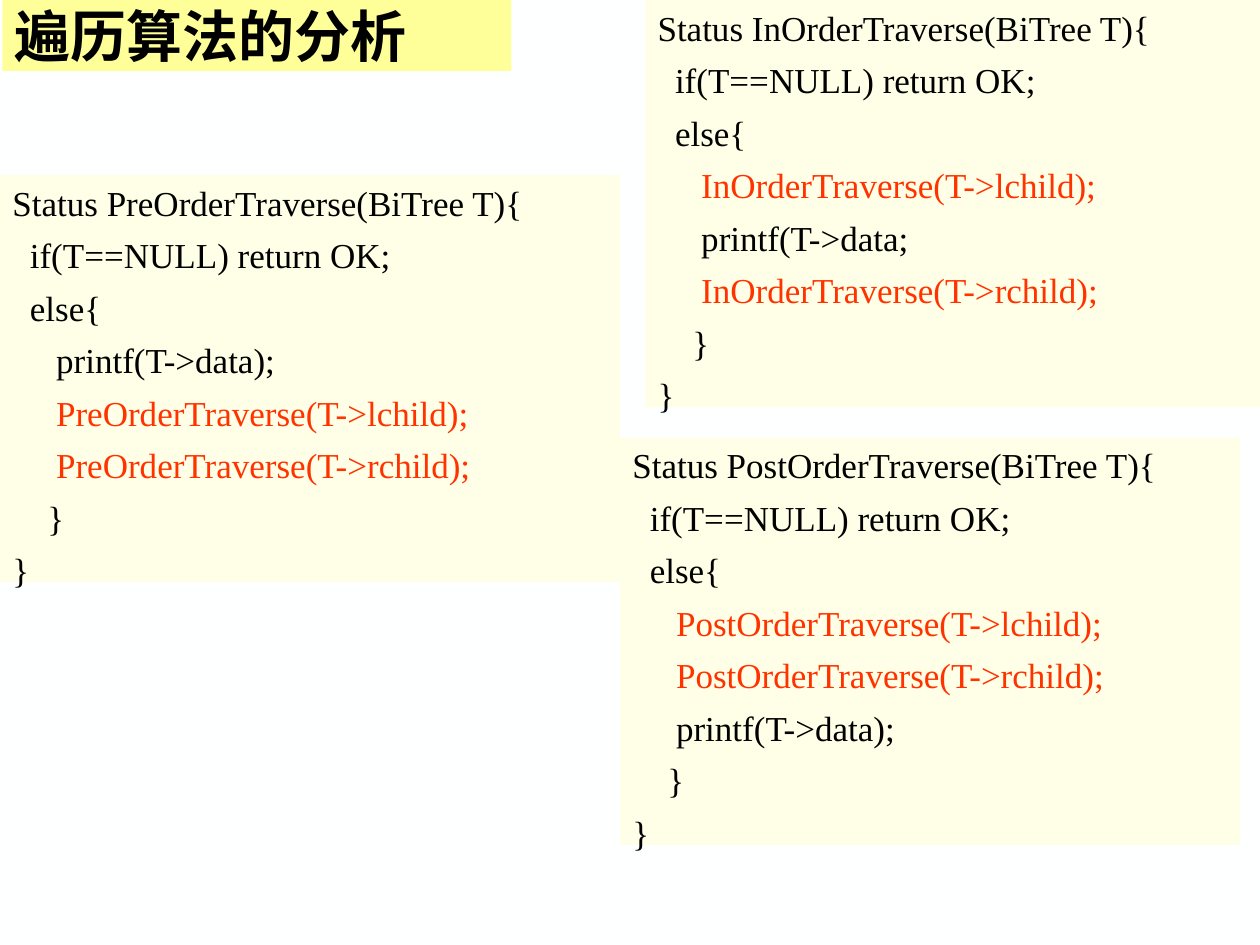
from dataclasses import dataclass

from lxml.etree import SubElement
from pptx import Presentation
from pptx.dml.color import RGBColor
from pptx.enum.shapes import MSO_SHAPE
from pptx.enum.text import MSO_ANCHOR, PP_ALIGN
from pptx.oxml.ns import qn
from pptx.util import Inches, Pt

COLORS = {
    "background": "FEFFFF",
    "code": "FFFFE7",
    "title": "FFFF99",
    "text": "000000",
    "recursion": "FF3300",
}
CODE_FONT, TITLE_FONT = "Times New Roman", "Noto Sans CJK SC"
WIDTH, HEIGHT = Inches(10), Inches(7.5)
CODE_W, CODE_H = 0.492, 0.431


@dataclass
class Box:
    """Place and size as shares of the slide."""
    x: float
    y: float
    w: float
    h: float
    fill: str


@dataclass
class Traversal:
    order: str
    x: float
    y: float
    body: tuple[str, ...]


LEFT, RIGHT = "(T->lchild);", "(T->rchild);"
VISIT = "printf(T->data);"
TRAVERSALS = [
    Traversal("Pre", 0, 0.185, (VISIT, LEFT, RIGHT)),
    Traversal("Post", CODE_W, 0.463, (LEFT, RIGHT, VISIT)),
    Traversal("In", 0.512, 0, (LEFT, "printf(T->data;", RIGHT)),
]


def rgb(name: str) -> RGBColor:
    return RGBColor.from_string(COLORS[name])


def add_box(slide, box: Box):
    sp = slide.shapes.add_shape(
        MSO_SHAPE.RECTANGLE, round(box.x * WIDTH), round(box.y * HEIGHT),
        round(box.w * WIDTH), round(box.h * HEIGHT))
    sp.shadow.inherit = False
    sp.fill.solid()
    sp.fill.fore_color.rgb = rgb(box.fill)
    sp.line.fill.background()
    sp.text_frame.word_wrap = True
    return sp.text_frame


def style_paragraph(p, font: str, size: int, color: str, bold: bool = False) -> None:
    p.alignment = PP_ALIGN.LEFT
    for r in p.runs:
        r.font.name, r.font.size, r.font.bold = font, Pt(size), bold
        r.font.color.rgb = rgb(color)
        SubElement(r.font._element, qn("a:ea"), typeface=font)


def add_traversal(slide, item: Traversal) -> None:
    name = f"{item.order}OrderTraverse"
    body = [name + line if line in (LEFT, RIGHT) else line for line in item.body]
    lines = [f"Status {name}(BiTree T){{", "  if(T==NULL) return OK;", "  else{",
             *("     " + line for line in body), "    }", "}"]
    tf = add_box(slide, Box(item.x, item.y, CODE_W, CODE_H, "code"))
    tf.vertical_anchor = MSO_ANCHOR.TOP
    tf.text = "\n".join(lines)
    for i, p in enumerate(tf.paragraphs):
        color = "recursion" if p.text.strip().startswith(name) else "text"
        style_paragraph(p, CODE_FONT, 20, color)
        p.space_before = Pt(6 if i else 0)


def add_title(slide, text: str) -> None:
    tf = add_box(slide, Box(0.002, 0, 0.404, 0.075, "title"))
    tf.vertical_anchor = MSO_ANCHOR.MIDDLE
    tf.text = text
    style_paragraph(tf.paragraphs[0], TITLE_FONT, 32, "text", bold=True)


def main() -> None:
    prs = Presentation()
    prs.slide_width, prs.slide_height = WIDTH, HEIGHT
    slide = prs.slides.add_slide(prs.slide_layouts[6])
    slide.background.fill.solid()
    slide.background.fill.fore_color.rgb = rgb("background")
    for item in TRAVERSALS:
        add_traversal(slide, item)
    add_title(slide, "遍历算法的分析")
    prs.save("out.pptx")


if __name__ == "__main__":
    main()
